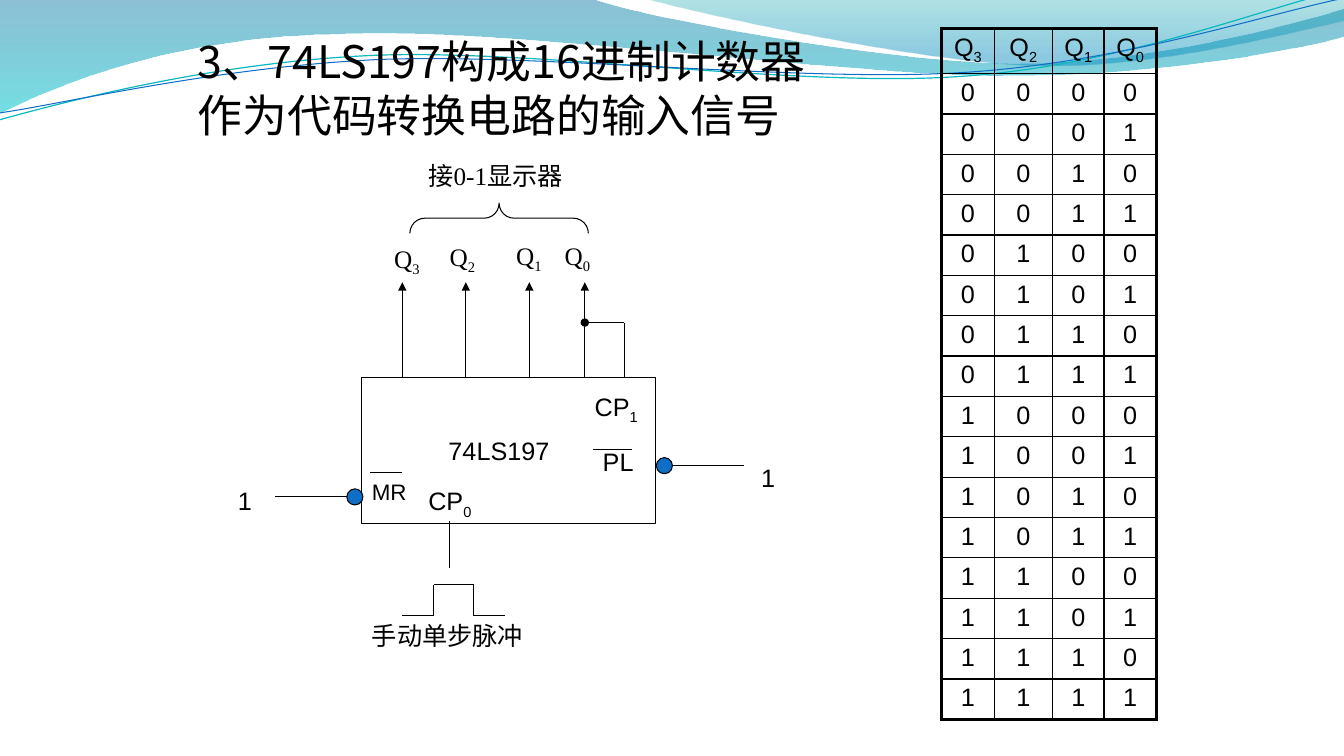
from pptx import Presentation
from pptx.dml.color import RGBColor
from pptx.enum.shapes import MSO_CONNECTOR, MSO_SHAPE
from pptx.enum.text import MSO_ANCHOR, MSO_AUTO_SIZE, PP_ALIGN
from pptx.oxml import parse_xml
from pptx.oxml.ns import nsdecls, qn
from pptx.util import Inches, Pt

STRAIGHT = MSO_CONNECTOR.STRAIGHT
RECT, OVAL, BRACE = MSO_SHAPE.RECTANGLE, MSO_SHAPE.OVAL, MSO_SHAPE.LEFT_BRACE
LEFT, CENTER, JUSTIFY = PP_ALIGN.LEFT, PP_ALIGN.CENTER, PP_ALIGN.JUSTIFY

# Content
TITLE = "3、74LS197构成16进制计数器作为代码转换电路的输入信号"
BITS = ["3", "2", "1", "0"]
COUNTS = range(16)
COLORS = {"ink": "000000", "paper": "FFFFFF", "bubble": "0F6FC6",
          "teal_line": "0AB8BF", "blue_line": "0F6FC6"}
SANS, SERIF, CJK = "Arial", "Times New Roman", "Noto Sans CJK SC"

# Waves: start point, then straight (2 numbers) or curved (6 numbers) steps
WAVES = [
    ((0, 0), [(5.87, -0.01), (6.34, 0.17, 8.85, 0.63, 10.11, 0.63),
              (11.38, 0.63, 12.78, 0.26, 13.33, 0.09), (13.35, 0.36),
              (13.11, 0.44, 11.6, 0.76, 9.94, 0.75),
              (8.29, 0.75, 5.09, 0.28, 3.43, 0.34),
              (1.72, 0.36, 0.61, 0.83, -0.01, 1.13), (0, 0)],
     [(0, "0074A1", 45), (100, "00C6CF", 55)]),
    ((6.39, -0.01), [(6.79, 0.11, 9.09, 0.62, 10.25, 0.65),
                     (11.41, 0.69, 12.82, 0.32, 13.33, 0.21), (13.33, 0),
                     (6.39, -0.01)],
     [(0, "00A1A9", 30), (80, "008BBF", 45)]),
]
RIPPLES = [
    ((-0.01, 1.19), [(0.64, 1.01, 2.11, 0.62, 3.69, 0.55),
                     (5.27, 0.48, 7.9, 0.87, 9.5, 0.76),
                     (11.1, 0.66, 12.52, 0.08, 13.31, -0.1)], "teal_line", 0.85),
    ((0, 1.12), [(0.63, 1.03, 2.18, 0.66, 3.78, 0.59),
                 (5.37, 0.53, 7.96, 0.82, 9.55, 0.72),
                 (11.15, 0.62, 12.55, 0.14, 13.34, -0.02)], "blue_line", 0.75),
]

# Circuit
CHIP = (3.59, 3.75, 2.91, 1.44)
CHIP_TOP, PIN_TIP, FEEDBACK_Y = 3.75, 2.8, 3.2
PINS = [3.99, 4.62, 5.25, 5.8]
FEEDBACK_X = 6.19
PIN_LABELS = [(3.91, 2.41, 0.39, 0.32), (4.46, 2.39, 0.36, 0.33),
              (5.12, 2.38, 0.37, 0.35), (5.6, 2.38, 0.44, 0.35)]
PLATES = [((4.15, 1.54, 1.65, 0.39), "接0-1显示器", SERIF),
          ((4.35, 4.27, 1.26, 0.51), "74LS197", SANS)]
LABELS = [((4.15, 4.77, 0.87, 0.4), "CP", "0", 18),
          ((5.8, 3.83, 0.71, 0.4), "CP", "1", 18),
          ((3.59, 6.11, 1.73, 0.4), "手动单步脉冲", "", 18),
          ((3.59, 4.69, 0.6, 0.37), "MR", "", 16),
          ((5.88, 4.38, 0.63, 0.4), "PL", "", 18),
          ((2.26, 4.77, 0.39, 0.4), "1", "", 18),
          ((7.45, 4.54, 0.39, 0.4), "1", "", 18)]
BUBBLES = [(3.44, 4.85), (6.51, 4.54)]
BUBBLE_SIZE = 0.16
PULSE = [(3.99, 6.11), (4.3, 6.11), (4.3, 5.8), (4.7, 5.8), (4.7, 6.11), (5.01, 6.11)]
WIRES = [((4.46, 5.17), (4.46, 5.64)), ((2.73, 4.93), (3.44, 4.93)),
         ((6.67, 4.62), (7.38, 4.62)), ((3.67, 4.69), (3.99, 4.69)),
         ((5.88, 4.46), (6.27, 4.46)),
         ((FEEDBACK_X, CHIP_TOP), (FEEDBACK_X, FEEDBACK_Y))]

# Truth table
TABLE_AT = (9.34, 0.28)
COL_WIDTHS = [0.52, 0.58, 0.51, 0.52]
HEAD_H, ROW_H = 0.45, 0.4

prs = Presentation()
prs.slide_width, prs.slide_height = Inches(13.33), Inches(7.5)
slide = prs.slides.add_slide(prs.slide_layouts[5])
shapes = slide.shapes


def rgb(name):
    return RGBColor.from_string(COLORS[name])


def box(place):
    return [Inches(v) for v in place]


def add_run(paragraph, text, size, font, sub=False):
    run = paragraph.add_run()
    run.text = text
    run.font.size = Pt(size)
    run.font.color.rgb = rgb("ink")
    run.font.name = font
    props = run.font._element
    props.append(parse_xml(f'<a:ea {nsdecls("a")} typeface="{CJK}"/>'))
    if sub:
        props.set("baseline", "-25000")


def write(frame, text, sub="", size=18, font=SANS, align=LEFT):
    paragraph = frame.paragraphs[0]
    paragraph.alignment = align
    add_run(paragraph, text, size, font)
    if sub:
        add_run(paragraph, sub, size, font, sub=True)


def add_outline(preset, place, fill=None, line="ink"):
    shape = shapes.add_shape(preset, *box(place))
    shape.shadow.inherit = False
    if fill:
        shape.fill.solid()
        shape.fill.fore_color.rgb = rgb(fill)
    else:
        shape.fill.background()
    shape.line.color.rgb = rgb(line)
    shape.line.width = Pt(0.75)
    return shape


def add_plate(place, text, sub="", font=SANS, inset=None):
    frame = add_outline(RECT, place, "paper", "paper").text_frame
    frame.vertical_anchor = MSO_ANCHOR.TOP
    if inset is not None:
        frame.margin_left = frame.margin_right = inset
        frame.margin_top = frame.margin_bottom = inset
    write(frame, text, sub, font=font, align=JUSTIFY)


def add_wire(start, end, head=None, tail=None):
    wire = shapes.add_connector(STRAIGHT, *box(start + end))
    wire.line.color.rgb = rgb("ink")
    wire.line.width = Pt(0.75)
    for tag, kind in (("headEnd", head), ("tailEnd", tail)):
        if kind:
            wire.line._get_or_add_ln().append(
                parse_xml(f'<a:{tag} {nsdecls("a")} type="{kind}"/>'))
    wire._element.spPr.append(parse_xml(f'<a:effectLst {nsdecls("a")}/>'))


def add_curve(start, steps, close):
    points = [box(step[i:i + 2]) for step in steps for i in range(0, len(step), 2)]
    builder = shapes.build_freeform(*box(start))
    builder.add_line_segments(points, close=close)
    curve = builder.convert_to_shape()
    curve.shadow.inherit = False
    # Join the three points of each curved step into one Bezier segment
    segments = iter(list(curve._element.iter(qn("a:lnTo"))))
    for step in steps:
        parts = [next(segments) for _ in range(len(step) // 2)]
        if len(parts) == 3:
            bezier = parse_xml(f'<a:cubicBezTo {nsdecls("a")}/>')
            parts[0].addprevious(bezier)
            for part in parts:
                bezier.append(part[0])
                part.getparent().remove(part)
    return curve


# Background waves
for start, steps, stops in WAVES:
    wave = add_curve(start, steps, True)
    wave.line.fill.background()
    stop_xml = "".join(
        f'<a:gs pos="{pos * 1000}"><a:srgbClr val="{color}">'
        f'<a:alpha val="{alpha * 1000}"/></a:srgbClr></a:gs>' for pos, color, alpha in stops)
    wave._element.spPr.find(qn("a:custGeom")).addnext(parse_xml(
        f'<a:gradFill {nsdecls("a")} rotWithShape="1"><a:gsLst>{stop_xml}</a:gsLst>'
        '<a:lin ang="5400000" scaled="1"/></a:gradFill>'))
for start, steps, color, width in RIPPLES:
    ripple = add_curve(start, steps, False)
    ripple.fill.background()
    ripple.line.color.rgb = rgb(color)
    ripple.line.width = Pt(width)

# Title, brought in front of the waves
title = shapes.title
shapes._spTree.append(title._element)
title.left, title.top, title.width, title.height = box((1.86, 0.28, 6.46, 1.18))
title.text_frame.vertical_anchor = MSO_ANCHOR.TOP
title.text_frame.auto_size = MSO_AUTO_SIZE.NONE
title.text_frame.word_wrap = True
title.text_frame.paragraphs[0].line_spacing = Pt(38.6)
write(title.text_frame, TITLE, size=32, font=CJK)

# Chip, its plates and output labels
add_outline(RECT, CHIP, "paper")
for place, text, font in PLATES:
    add_plate(place, text, font=font)
for place, bit in zip(PIN_LABELS, BITS):
    add_plate(place, "Q", bit, SERIF, inset=0)
brace = add_outline(BRACE, (4.8, 1.28, 0.3, 1.77))
brace.rotation = 90
brace.adjustments[0], brace.adjustments[1] = 0.494, 0.5

# Bubbles, wires and pulse
for left, top in BUBBLES:
    add_outline(OVAL, (left, top, BUBBLE_SIZE, BUBBLE_SIZE), "bubble")
for start, end in WIRES + list(zip(PULSE, PULSE[1:])):
    add_wire(start, end)
for x in PINS:
    add_wire((x, CHIP_TOP), (x, PIN_TIP), tail="triangle")
add_wire((PINS[-1], FEEDBACK_Y), (FEEDBACK_X, FEEDBACK_Y), head="oval")

# Pin names and input values
for place, text, sub, size in LABELS:
    label = shapes.add_textbox(*box(place)).text_frame
    label.word_wrap = True
    write(label, text, sub, size)

# Truth table
rows = [[("Q", bit) for bit in BITS]]
rows += [[(digit, "") for digit in f"{count:04b}"] for count in COUNTS]
size = (sum(COL_WIDTHS), HEAD_H + ROW_H * len(COUNTS))
table = shapes.add_table(len(rows), len(BITS), *box(TABLE_AT + size)).table
table.first_row = table.horz_banding = False
for column, width in zip(table.columns, COL_WIDTHS):
    column.width = Inches(width)
for r, row in enumerate(rows):
    table.rows[r].height = Inches(ROW_H if r else HEAD_H)
    for c, (text, sub) in enumerate(row):
        cell = table.cell(r, c)
        write(cell.text_frame, text, sub, align=CENTER)
        edges = {"lnL": c == 0, "lnR": c == len(BITS) - 1,
                 "lnT": r == 0, "lnB": r == len(rows) - 1}
        for tag, outer in edges.items():
            cell._tc.get_or_add_tcPr().append(parse_xml(
                f'<a:{tag} {nsdecls("a")} w="{Pt(2.25 if outer else 1)}"><a:solidFill>'
                f'<a:srgbClr val="{COLORS["ink"]}"/></a:solidFill></a:{tag}>'))
        cell.fill.background()

prs.save("out.pptx")
